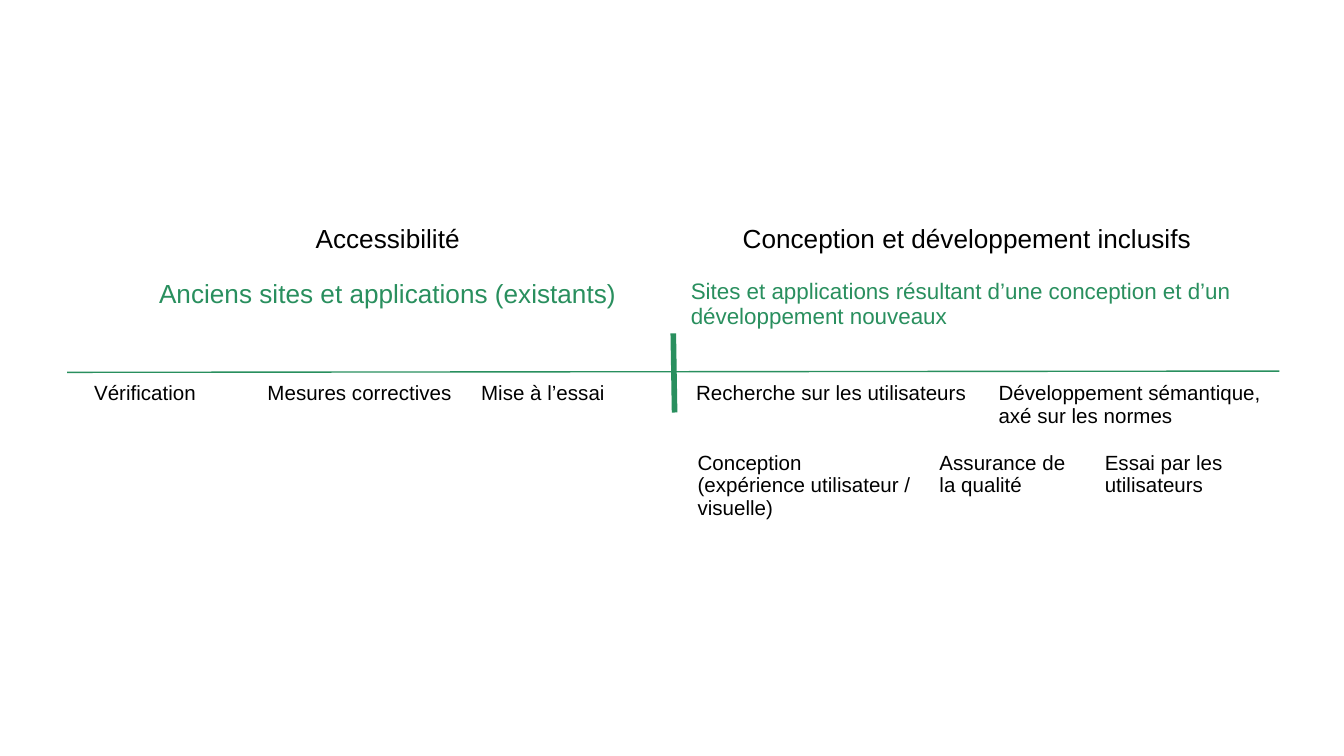
from dataclasses import dataclass

from lxml import etree
from pptx import Presentation
from pptx.dml.color import RGBColor
from pptx.enum.shapes import MSO_CONNECTOR
from pptx.enum.text import PP_ALIGN
from pptx.oxml.ns import qn
from pptx.util import Pt

STRAIGHT = MSO_CONNECTOR.STRAIGHT
LEFT = PP_ALIGN.LEFT
CENTER = PP_ALIGN.CENTER


@dataclass(frozen=True)
class Theme:
    font: str = "Arial"
    text: RGBColor = RGBColor(0x00, 0x00, 0x00)
    accent: RGBColor = RGBColor(0x29, 0x8F, 0x5E)
    paper: RGBColor = RGBColor(0xFF, 0xFF, 0xFF)
    heading: int = 14
    subheading: int = 12
    body: int = 11


THEME = Theme()


def write_cell(cell, text, size=THEME.body, color=THEME.text, align=LEFT):
    cell.fill.solid()
    cell.fill.fore_color.rgb = THEME.paper
    para = cell.text_frame.paragraphs[0]
    para.text = text
    para.alignment = align
    for span in para.runs:
        span.font.name = THEME.font
        span.font.size = Pt(size)
        span.font.bold = False
        span.font.color.rgb = color


def add_grid(page, left, top, widths, heights):
    frame = page.shapes.add_table(
        len(heights), len(widths), Pt(left), Pt(top), Pt(sum(widths)), Pt(sum(heights))
    )
    table = frame.table
    table.horz_banding = False
    for column, width in zip(table.columns, widths):
        column.width = Pt(width)
    for row, height in zip(table.rows, heights):
        row.height = Pt(height)
    return table


def add_steps(page, left, top, widths, height, steps):
    table = add_grid(page, left, top, widths, [height])
    for cell, step in zip(table.rows[0].cells, steps):
        write_cell(cell, step)


def add_line(page, start, end, weight):
    line = page.shapes.add_connector(STRAIGHT, *map(Pt, start + end))
    line.line.color.rgb = THEME.accent
    line.line.width = Pt(weight)
    etree.SubElement(line._element.spPr, qn("a:effectLst"))


def add_headings(page):
    table = add_grid(page, 52.56, 116.64, [310.32] * 2, [29.5, 36])
    for column, text in enumerate(
        ["Accessibilité", "Conception et développement inclusifs"]
    ):
        write_cell(table.cell(0, column), text, size=THEME.heading, align=CENTER)
    write_cell(
        table.cell(1, 0),
        "Anciens sites et applications (existants)",
        size=THEME.heading,
        color=THEME.accent,
        align=CENTER,
    )
    write_cell(
        table.cell(1, 1),
        "Sites et applications résultant d’une conception et d’un développement nouveaux",
        size=THEME.subheading,
        color=THEME.accent,
    )


def main():
    deck = Presentation()
    deck.slide_width, deck.slide_height = Pt(720), Pt(405)
    page = deck.slides.add_slide(deck.slide_layouts[6])

    add_headings(page)
    add_steps(
        page, 366.48, 238.32, [129.6, 88.56, 100.8], 46.5,
        [
            "Conception (expérience utilisateur / visuelle)",
            "Assurance de la qualité",
            "Essai par les utilisateurs",
        ],
    )
    add_steps(
        page, 43.2, 200.88, [92.88, 114.48, 115.2, 162, 158.4], 33.5,
        [
            "Vérification",
            "Mesures correctives",
            "Mise à l’essai",
            "Recherche sur les utilisateurs",
            "Développement sémantique, \vaxé sur les normes",
        ],
    )
    add_line(page, (36, 199.5), (685.4, 198.8), 0.75)
    add_line(page, (360.7, 178.6), (361.4, 221), 3)

    deck.save("out.pptx")


if __name__ == "__main__":
    main()
